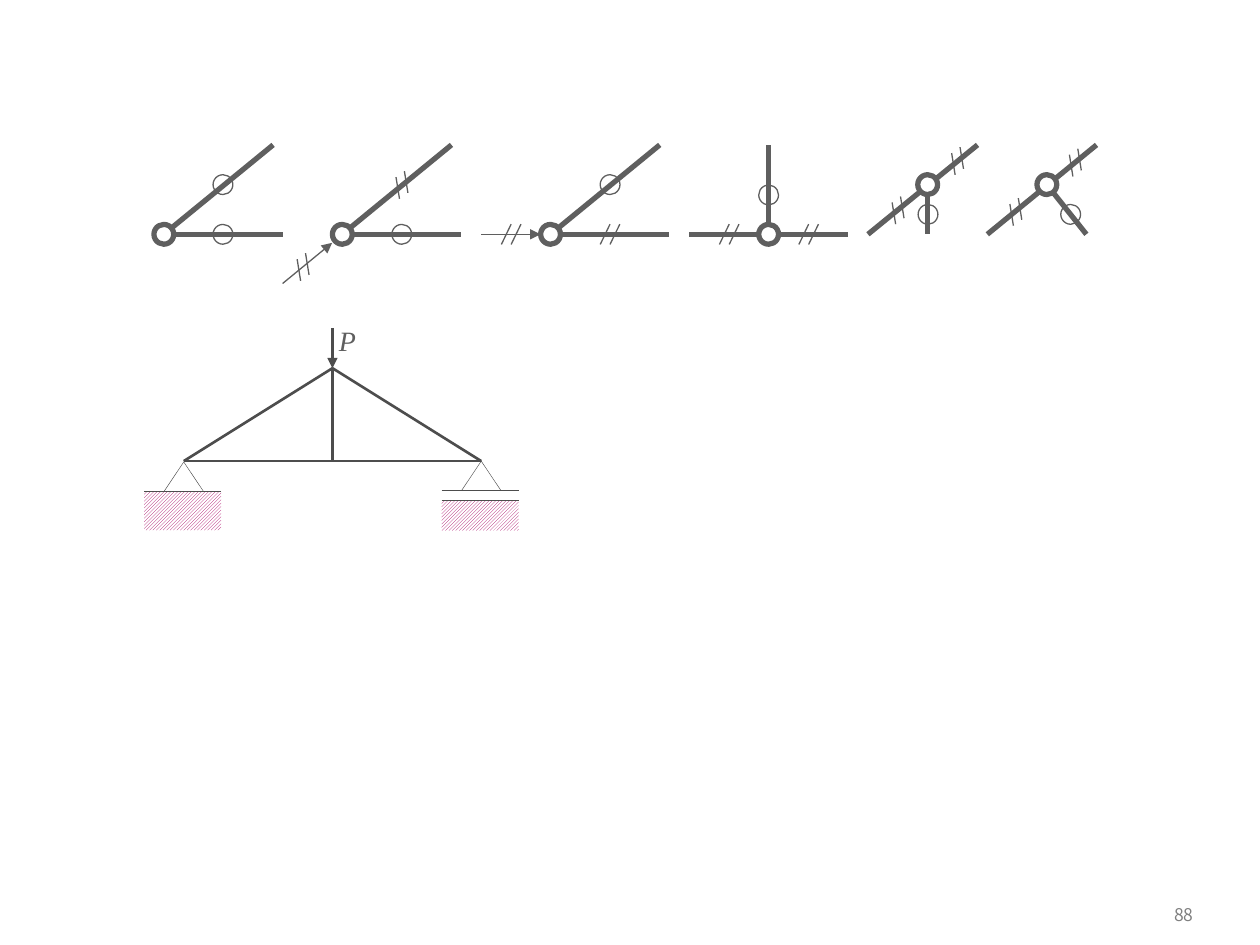
from lxml import etree
from pptx import Presentation
from pptx.dml.color import RGBColor
from pptx.enum import dml, shapes, text
from pptx.oxml import ns
from pptx.util import Pt

GRAY = RGBColor(0x5F, 0x5F, 0x5F)
DARK = RGBColor(0x4D, 0x4D, 0x4D)
PAGE_GRAY = RGBColor(0x80, 0x80, 0x80)
HATCH = RGBColor(0xA9, 0x01, 0x65)
WHITE = RGBColor(0xFF, 0xFF, 0xFF)


def add_line(group, start, end, width, color=GRAY, arrow=False):
    line = group.shapes.add_connector(
        shapes.MSO_CONNECTOR.STRAIGHT, *[Pt(value) for value in (*start, *end)])
    line.line.color.rgb = color
    line.line.width = Pt(width)
    properties = line._element.spPr
    if arrow:
        etree.SubElement(properties.find(ns.qn("a:ln")), ns.qn("a:tailEnd"), type="triangle")
    etree.SubElement(properties, ns.qn("a:effectLst"))


def add_outline(group, kind, left, top, width, height, weight, color=GRAY, fill=None):
    """Add a preset shape; weight 0 means no line, fill None means hollow."""
    shape = group.shapes.add_shape(kind, Pt(left), Pt(top), Pt(width), Pt(height))
    shape.shadow.inherit = False
    if fill is None:
        shape.fill.background()
    else:
        shape.fill.solid()
        shape.fill.fore_color.rgb = fill
    if weight:
        shape.line.color.rgb = color
        shape.line.width = Pt(weight)
    else:
        shape.line.fill.background()
    return shape


presentation = Presentation()
presentation.slide_width, presentation.slide_height = Pt(720), Pt(540)
slide = presentation.slides.add_slide(presentation.slide_layouts[6])

# Joint diagrams: bars and loads as (start, end), marks as centre points
TOP, MIDDLE, BASE = 82.8, 105.5, 133.9
RING = 11.3
joints = [
    {"joint": (93.6, BASE),
     "bars": [((93.6, BASE), (156.1, TOP)), ((93.6, BASE), (161.5, BASE))],
     "zero": [(127.4, MIDDLE), (127.4, BASE)]},
    {"joint": (195.6, BASE),
     "bars": [((195.6, BASE), (258, TOP)), ((195.6, BASE), (263.5, BASE))],
     "load": ((161.5, 162), (189.8, 138.8)),
     "zero": [(229.6, BASE)],
     "steep": [(173.2, 152.6), (229.7, 105.7)]},
    {"joint": (314.6, BASE),
     "bars": [((314.6, BASE), (377, TOP)), ((314.6, BASE), (382.5, BASE))],
     "load": ((275, BASE), (308.9, BASE)),
     "zero": [(348.6, MIDDLE)],
     "slanted": [(292.1, BASE), (348.6, BASE)]},
    {"joint": (439.2, BASE),
     "bars": [((439.2, BASE), (439.2, TOP)), ((394, BASE), (484.5, BASE))],
     "zero": [(439.2, 111.4)],
     "slanted": [(416.7, BASE), (462.1, BASE)]},
    {"joint": (530.1, MIDDLE),
     "bars": [((496, BASE), (558.6, TOP)), ((530.1, MIDDLE), (530.1, BASE))],
     "zero": [(530.3, 122.5)],
     "steep": [(513.2, 120.2), (547.2, 92)]},
    {"joint": (598.2, MIDDLE),
     "bars": [((564.2, BASE), (626.6, TOP)), ((598.2, MIDDLE), (620.8, BASE))],
     "zero": [(611.8, 122.5)],
     "steep": [(580.5, 121.1), (614.5, 92.9)]},
]
# Each pair of strokes: offset of a stroke from the centre, half vector of a stroke
stroke_styles = {"slanted": ((2.8, 0), (-2.8, 5.8)), "steep": ((2.4, -1.7), (1, 6.2))}

for diagram in joints:
    group = slide.shapes.add_group_shape()
    for start, end in diagram["bars"]:
        add_line(group, start, end, 3)
    if "load" in diagram:
        add_line(group, *diagram["load"], 0.75, arrow=True)
    circles = [(center, 0.75, None) for center in diagram["zero"]]
    circles.append((diagram["joint"], 3, WHITE))
    for (x, y), weight, fill in circles:
        add_outline(group, shapes.MSO_SHAPE.OVAL, x - RING / 2, y - RING / 2,
                    RING, RING, weight, fill=fill)
    for style, ((shift_x, shift_y), (half_x, half_y)) in stroke_styles.items():
        for x, y in diagram.get(style, []):
            for side in (-1, 1):
                middle_x, middle_y = x + side * shift_x, y + side * shift_y
                add_line(group, (middle_x - half_x, middle_y - half_y),
                         (middle_x + half_x, middle_y + half_y), 0.75)

# Loaded truss
truss = slide.shapes.add_group_shape()
left, right, apex, foot = (105, 263.5), (275, 263.5), (190, 210.4), (190, 263.5)
for start, end in [(apex, left), (right, left), (apex, foot), (apex, right)]:
    add_line(truss, start, end, 1.5, DARK)
add_line(truss, (190, 187.4), apex, 1.5, DARK, arrow=True)

# Supports: centre, triangle top, ground top, ground height, line heights
supports = [
    (105, 264, 280.8, 22.2, [280.8]),
    (275, 263.5, 286, 17.2, [280.3, 286]),
]
for x, triangle_top, ground_top, ground_height, line_tops in supports:
    ground = add_outline(truss, shapes.MSO_SHAPE.RECTANGLE, x - 22.6, ground_top,
                         44, ground_height, 0)
    ground.fill.patterned()
    ground.fill.pattern = dml.MSO_PATTERN.LIGHT_UPWARD_DIAGONAL
    ground.fill.fore_color.rgb = HATCH
    ground.fill.back_color.rgb = WHITE
    for y in line_tops:
        add_line(truss, (x - 22.6, y), (x + 21.4, y), 0.25, DARK)
    add_outline(truss, shapes.MSO_SHAPE.ISOSCELES_TRIANGLE, x - 11.3, triangle_top,
                22.6, 16.9, 0.25, DARK)

# Load label and page number
labels = [
    (truss, "P", (190, 185, 17, 19.5), "Times New Roman", 16, GRAY, True,
     text.PP_ALIGN.CENTER, text.MSO_ANCHOR.TOP, (0, 0)),
    (slide, "88", (637.9, 510.5, 51.1, 23.8), "Noto Sans CJK KR", 10, PAGE_GRAY, False,
     text.PP_ALIGN.RIGHT, text.MSO_ANCHOR.MIDDLE, (7.2, 3.6)),
]
for parent, wording, box, font, size, color, italic, align, anchor, (inset_x, inset_y) in labels:
    frame = parent.shapes.add_textbox(*[Pt(value) for value in box]).text_frame
    frame.word_wrap = True
    frame.vertical_anchor = anchor
    frame.margin_left = frame.margin_right = Pt(inset_x)
    frame.margin_top = frame.margin_bottom = Pt(inset_y)
    paragraph = frame.paragraphs[0]
    paragraph.text = wording
    paragraph.alignment = align
    paragraph.font.name = font
    paragraph.font.size = Pt(size)
    paragraph.font.italic = italic
    paragraph.font.color.rgb = color

presentation.save("out.pptx")
